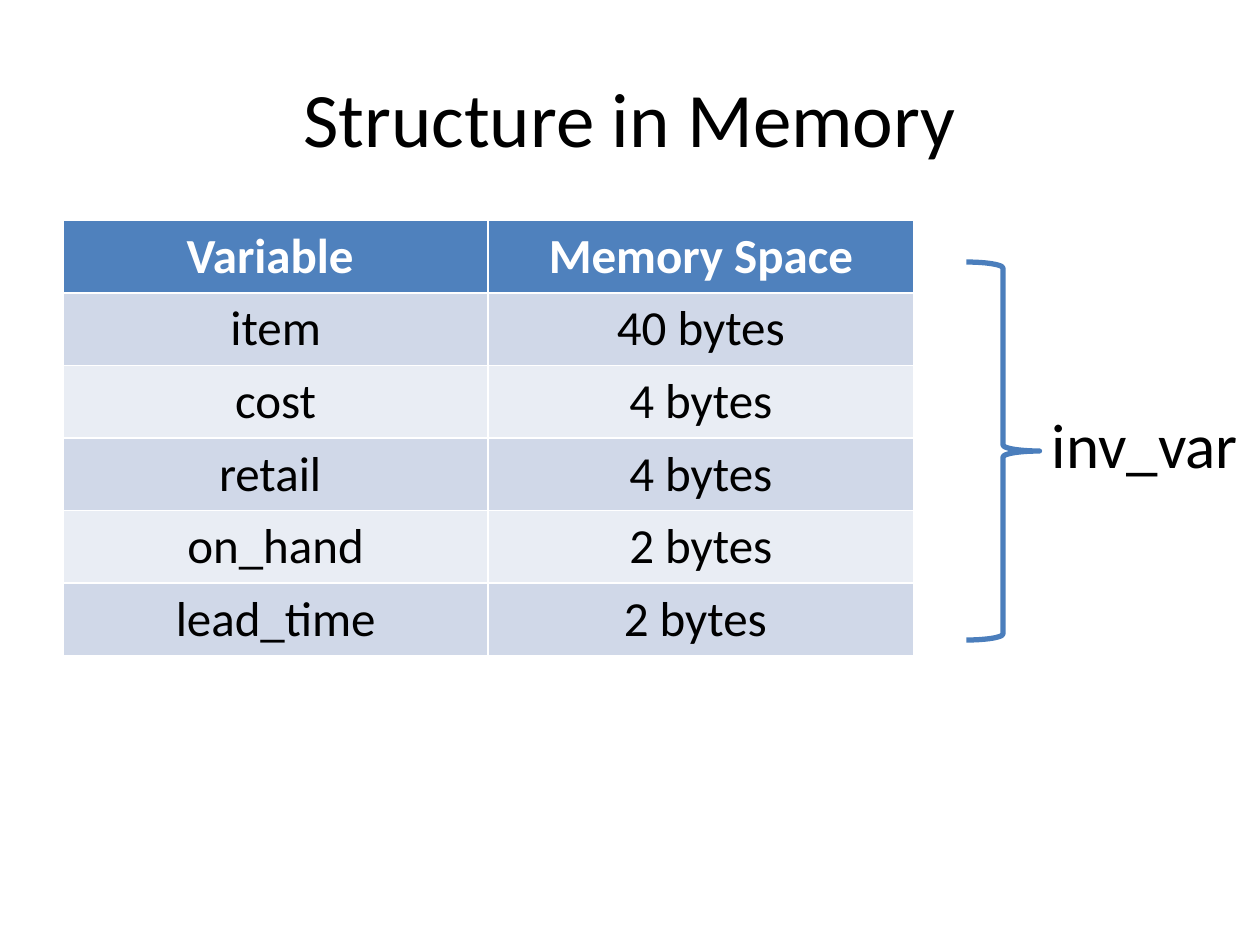
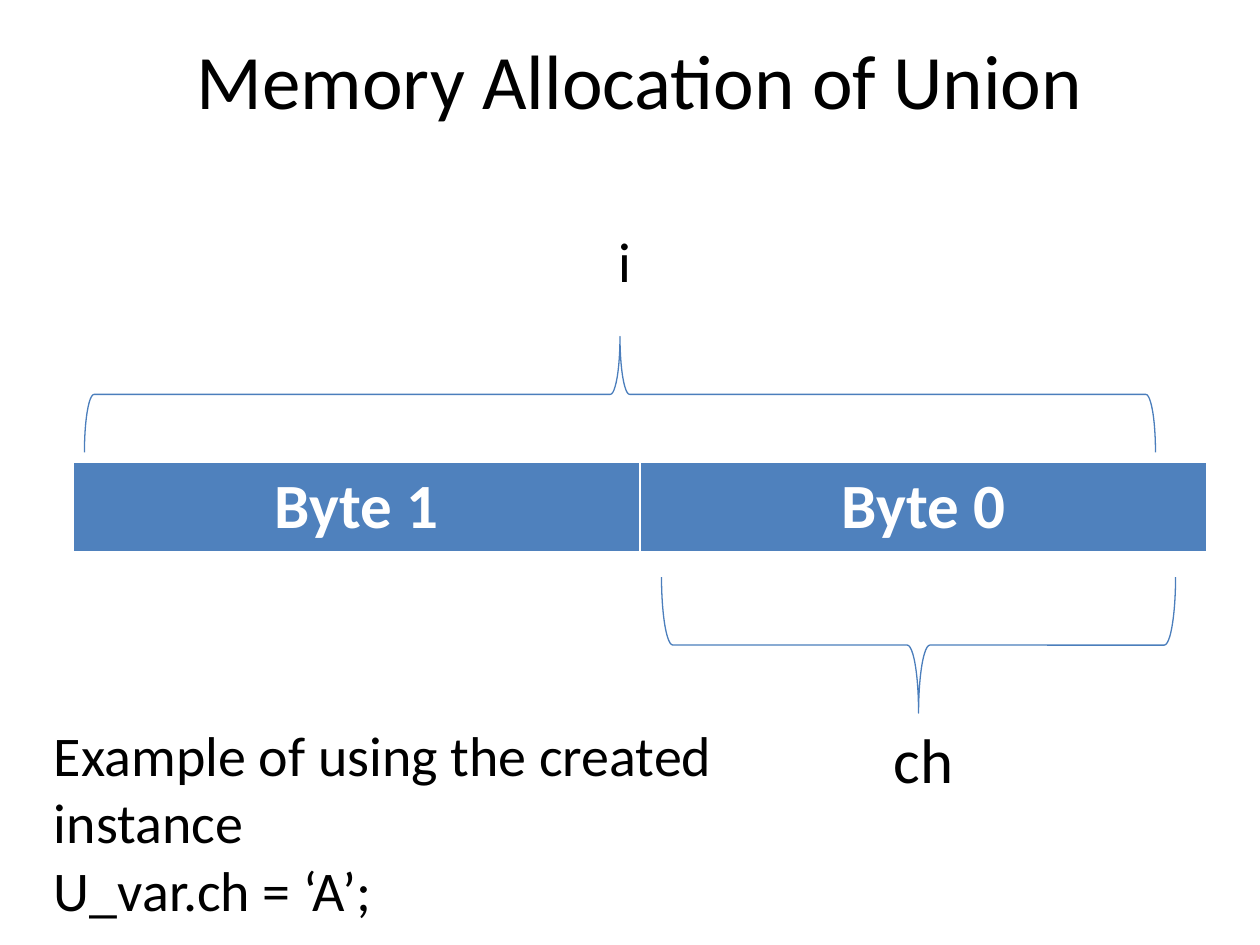
from pptx import Presentation
from pptx.dml.color import RGBColor
from pptx.enum.shapes import MSO_SHAPE
from pptx.enum.text import MSO_ANCHOR, MSO_AUTO_SIZE, PP_ALIGN
from pptx.util import Inches, Pt

BLACK = RGBColor(0x00, 0x00, 0x00)
WHITE = RGBColor(0xFF, 0xFF, 0xFF)
HEADER_BLUE = RGBColor(0x4F, 0x81, 0xBD)
BRACE_BLUE = RGBColor(0x4B, 0x7E, 0xBC)
BANDS = (RGBColor(0xE9, 0xED, 0xF4), RGBColor(0xD0, 0xD8, 0xE8))

FONT = "Calibri"
SLIDE_W, SLIDE_H = 10, 7.5
TITLE_SIZE = (9, 1.25)
TITLE_ONLY = 5

VARIABLES = [
    ("Variable ", "Memory Space"),
    ("item", "40 bytes"),
    ("cost", "4 bytes"),
    ("retail ", "4 bytes"),
    ("on_hand", "2 bytes"),
    ("lead_time", "2 bytes "),
]


def box(*lengths):
    return [Inches(length) for length in lengths]


def write(frame, lines, size, color=BLACK, align=PP_ALIGN.LEFT, bold=False):
    """Fill a text frame with one paragraph per line."""
    frame.text = "\n".join(lines)
    font_format = {"name": FONT, "size": Pt(size), "bold": bold}
    for paragraph in frame.paragraphs:
        paragraph.alignment = align
        for run in paragraph.runs:
            for attribute, value in font_format.items():
                setattr(run.font, attribute, value)
            run.font.color.rgb = color


def add_titled_slide(deck, heading, left, top):
    slide = deck.slides.add_slide(deck.slide_layouts[TITLE_ONLY])
    title = slide.shapes.title
    title.left, title.top, title.width, title.height = box(left, top, *TITLE_SIZE)
    title.text_frame.vertical_anchor = MSO_ANCHOR.MIDDLE
    write(title.text_frame, [heading], 44, align=PP_ALIGN.CENTER)
    return slide


def add_memory_table(slide, rows, left, top, column_width, row_height, size):
    """Blue header row, then alternating bands."""
    columns = len(rows[0])
    table = slide.shapes.add_table(
        len(rows), columns,
        *box(left, top, columns * column_width, len(rows) * row_height)).table
    for r, row in enumerate(rows):
        header = r == 0
        for c, entry in enumerate(row):
            cell = table.cell(r, c)
            cell.fill.solid()
            cell.fill.fore_color.rgb = HEADER_BLUE if header else BANDS[r % 2]
            write(cell.text_frame, [entry], size, WHITE if header else BLACK,
                  PP_ALIGN.CENTER, bold=header)


def add_brace(slide, kind, left, top, width, height, weight, rotation=0):
    """Place a brace by the area it covers after rotation."""
    if rotation:
        left, top = left + (width - height) / 2, top + (height - width) / 2
        width, height = height, width
    brace = slide.shapes.add_shape(kind, *box(left, top, width, height))
    brace.rotation = rotation
    brace.shadow.inherit = False
    brace.fill.background()
    brace.line.color.rgb = BRACE_BLUE
    brace.line.width = Pt(weight)


def add_label(slide, lines, left, top, width, height, size, align=PP_ALIGN.LEFT):
    frame = slide.shapes.add_textbox(*box(left, top, width, height)).text_frame
    frame.word_wrap = True
    frame.auto_size = MSO_AUTO_SIZE.SHAPE_TO_FIT_TEXT
    write(frame, lines, size, align=align)


def build_structure_slide(deck):
    slide = add_titled_slide(deck, "Structure in Memory", 0.5, 0.3)
    add_memory_table(slide, VARIABLES, 0.5, 1.75, 3.375, 3.4 / len(VARIABLES), 28)
    # The whole structure variable
    add_brace(slide, MSO_SHAPE.RIGHT_BRACE, 7.67, 2.08, 0.58, 3, 3)
    add_label(slide, ["inv_var"], 8.25, 3.17, SLIDE_W - 8.25, 0.71, 36)


def build_union_slide(deck):
    margin, label_top = 0.58, 5.67
    slide = add_titled_slide(deck, "Memory Allocation of Union", margin, 0)
    add_memory_table(slide, [("Byte 1", "Byte 0")], margin, 3.67, 4.5, 0.7, 36)
    # i spans both bytes, ch only the low byte
    add_brace(slide, MSO_SHAPE.LEFT_BRACE, 0.67, 2.67, 8.5, 0.92, 0.75, 90)
    add_brace(slide, MSO_SHAPE.RIGHT_BRACE, 5.25, 4.58, 4.08, 1.08, 0.75, 90)
    add_label(slide, ["i"], 2.42, 1.75, 5.08, 0.64, 32, PP_ALIGN.CENTER)
    add_label(slide, ["ch"], 5.08, label_top, 4.5, 0.71, 36, PP_ALIGN.CENTER)
    # Usage example
    add_label(slide, ["Example of using the created instance", "U_var.ch = ‘A’;"],
              0.33, label_top, 6.42, 1.72, 32)


def main():
    deck = Presentation()
    deck.slide_width, deck.slide_height = box(SLIDE_W, SLIDE_H)
    build_structure_slide(deck)
    build_union_slide(deck)
    deck.save("out.pptx")


main()
